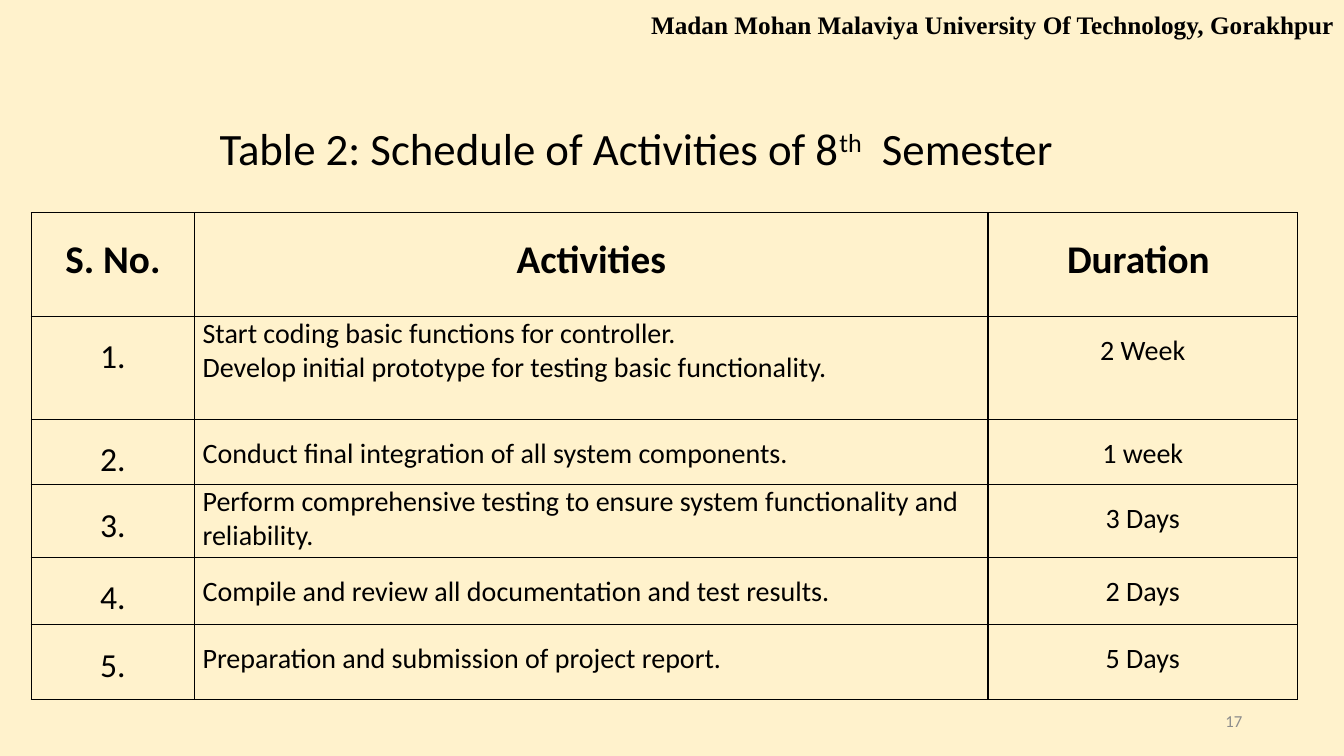
from lxml.etree import SubElement
from pptx import Presentation
from pptx.dml.color import RGBColor
from pptx.enum.text import MSO_ANCHOR, MSO_AUTO_SIZE, PP_ALIGN
from pptx.oxml.ns import qn
from pptx.util import Inches, Pt

UNIVERSITY = "Madan Mohan Malaviya University Of Technology, Gorakhpur"
TITLE_RUNS = [("Table 2: Schedule of Activities of 8", 0), ("th", 30000), ("  Semester ", 0)]
PAGE_NUMBER = "17"
HEADINGS = ("S. No.", "Activities", "Duration ")
# Activity lines, line spacing of the activity, duration
ACTIVITIES = [
    (["Start coding basic functions for controller.",
      "Develop initial prototype for testing basic functionality."], 1.0, "2 Week"),
    (["Conduct final integration of all system components."], 1.5, "1 week"),
    (["Perform comprehensive testing to ensure system functionality and reliability."],
     1.0, "3 Days"),
    (["Compile and review all documentation and test results."], 1.5, "2 Days"),
    (["Preparation and submission of project report."], 1.5, "5 Days"),
]
COLUMN_WIDTHS = (1.62, 7.87, 3.07)
ROW_HEIGHTS = (1.03, 1.02, 0.65, 0.72, 0.67, 0.74)

CREAM = RGBColor(0xFF, 0xF2, 0xCC)
BLACK = RGBColor(0, 0, 0)
GREY = RGBColor(0x8C, 0x8C, 0x8C)


def style_paragraph(paragraph, size, align=PP_ALIGN.LEFT, color=BLACK, bold=False, name="Calibri"):
    paragraph.alignment = align
    font = paragraph.font
    font.name, font.size, font.bold = name, Pt(size), bold
    font.color.rgb = color


def add_text_box(slide, left, top, width, height):
    """Add a wrapping text box and return its text frame."""
    box = slide.shapes.add_textbox(Inches(left), Inches(top), Inches(width), Inches(height))
    box.text_frame.word_wrap = True
    return box.text_frame


def add_borders(cell):
    properties = cell._tc.get_or_add_tcPr()
    for side in ("a:lnL", "a:lnR", "a:lnT", "a:lnB"):
        line = SubElement(properties, qn(side), w=str(Pt(1)))
        fill = SubElement(line, qn("a:solidFill"))
        SubElement(fill, qn("a:srgbClr"), val=str(BLACK))


def fill_cell(cell, lines, size, align=PP_ALIGN.CENTER, spacing=1.5, bold=False):
    add_borders(cell)
    cell.fill.background()
    cell.margin_left = cell.margin_right = Inches(0.08)
    cell.margin_top = cell.margin_bottom = 0
    cell.text_frame.text = "\n".join(lines)
    for paragraph in cell.text_frame.paragraphs:
        paragraph.line_spacing = spacing
        style_paragraph(paragraph, size, align, bold=bold)


def add_schedule(slide):
    table = slide.shapes.add_table(
        len(ROW_HEIGHTS), len(COLUMN_WIDTHS), Inches(0.31), Inches(2.11),
        Inches(sum(COLUMN_WIDTHS)), Inches(sum(ROW_HEIGHTS))).table
    table.horz_banding = False
    for column, width in zip(table.columns, COLUMN_WIDTHS):
        column.width = Inches(width)
    for row, height in zip(table.rows, ROW_HEIGHTS):
        row.height = Inches(height)
    for index, heading in enumerate(HEADINGS):
        fill_cell(table.cell(0, index), [heading], 28, bold=True)
    for number, (lines, spacing, duration) in enumerate(ACTIVITIES, start=1):
        fill_cell(table.cell(number, 0), [f"{number}."], 24)
        fill_cell(table.cell(number, 1), lines, 20, PP_ALIGN.LEFT, spacing)
        fill_cell(table.cell(number, 2), [duration], 20)


def main():
    presentation = Presentation()
    presentation.slide_width, presentation.slide_height = Inches(13.33), Inches(7.5)
    slide = presentation.slides.add_slide(presentation.slide_layouts[6])
    slide.background.fill.solid()
    slide.background.fill.fore_color.rgb = CREAM

    title = add_text_box(slide, 1.63, 1.15, 9.46, 0.64)
    title.auto_size = MSO_AUTO_SIZE.SHAPE_TO_FIT_TEXT
    paragraph = title.paragraphs[0]
    for text, baseline in TITLE_RUNS:
        run = paragraph.add_run()
        run.text = text
        if baseline:
            run._r.get_or_add_rPr().set("baseline", str(baseline))
    style_paragraph(paragraph, 32, PP_ALIGN.CENTER)

    add_schedule(slide)

    page = add_text_box(slide, 9.42, 6.95, 3, 0.4)
    page.vertical_anchor = MSO_ANCHOR.MIDDLE
    page.text = PAGE_NUMBER
    style_paragraph(page.paragraphs[0], 12, PP_ALIGN.RIGHT, GREY)

    header = add_text_box(slide, 6.36, 0.04, 7.44, 0.4)
    header.auto_size = MSO_AUTO_SIZE.SHAPE_TO_FIT_TEXT
    header.text = UNIVERSITY
    style_paragraph(header.paragraphs[0], 18, bold=True, name="Times New Roman")

    presentation.save("out.pptx")


if __name__ == "__main__":
    main()
